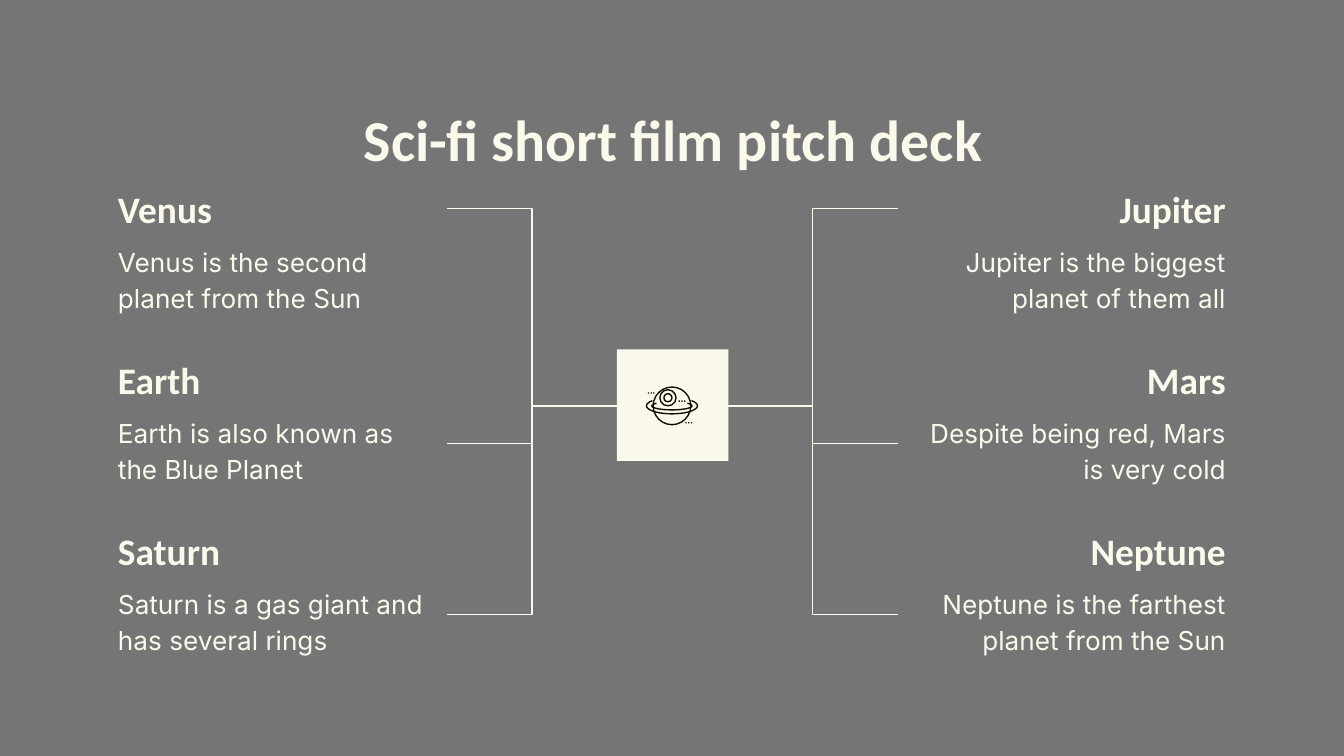
import math
import pptx
import pptx.util
import pptx.dml.color
import pptx.enum.shapes
import pptx.enum.text
import pptx.oxml.ns
from lxml import etree
from pptx.util import Inches, Pt

GREY = pptx.dml.color.RGBColor(0x75, 0x75, 0x75)
CREAM = pptx.dml.color.RGBColor(0xFA, 0xF9, 0xEC)
INK = pptx.dml.color.RGBColor(0x16, 0x0D, 0x00)
ALIGN = pptx.enum.text.PP_ALIGN
ANCHOR = pptx.enum.text.MSO_ANCHOR
SHAPE = pptx.enum.shapes.MSO_SHAPE


def write_text(box, text, font, size, bold, align, anchor):
    frame = box.text_frame
    frame.word_wrap = True
    frame.auto_size = pptx.enum.text.MSO_AUTO_SIZE.NONE
    frame.vertical_anchor = anchor
    frame.margin_left = frame.margin_right = Inches(0.1)
    frame.margin_top = frame.margin_bottom = Inches(0.1)
    para = frame.paragraphs[0]
    para.text = text
    para.alignment = align
    para.line_spacing = 1.15
    para.font.name = font
    para.font.size = Pt(size)
    para.font.bold = bold
    para.font.color.rgb = CREAM


def add_filled(kind, left, top, width, height, color):
    shape = slide.shapes.add_shape(
        kind, Inches(left), Inches(top), Inches(width), Inches(height))
    shape.shadow.inherit = False
    shape.fill.solid()
    shape.fill.fore_color.rgb = color
    shape.line.fill.background()
    return shape


deck = pptx.Presentation()
deck.slide_width = Inches(10)
deck.slide_height = Inches(10 * 9 / 16)
slide = deck.slides.add_slide(deck.slide_layouts[5])
slide.background.fill.solid()
slide.background.fill.fore_color.rgb = GREY

title = slide.shapes.title
title.left, title.top = Inches(0.79), Inches(0.59)
title.width, title.height = Inches(8.43), Inches(0.69)
write_text(title, "Sci-fi short film pitch deck", "Calibri", 31, True,
           ALIGN.CENTER, ANCHOR.TOP)

columns = [
    (0.78, ALIGN.LEFT, 4.59, 3.33, [
        ("Venus", "Venus is the second planet from the Sun"),
        ("Earth", "Earth is also known as the Blue Planet"),
        ("Saturn", "Saturn is a gas giant and has several rings")]),
    (6.68, ALIGN.RIGHT, 5.41, 6.68, [
        ("Jupiter", "Jupiter is the biggest planet of them all"),
        ("Mars", "Despite being red, Mars is very cold"),
        ("Neptune", "Neptune is the farthest planet from the Sun")]),
]
branch_ends = [1.55, 3.3, 4.57]
for left, align, hub_x, branch_x, planets in columns:
    for row, (name, fact) in enumerate(planets):
        top = 1.28 + 1.27 * row
        heading = slide.shapes.add_textbox(
            Inches(left), Inches(top), Inches(2.54), Inches(0.54))
        write_text(heading, name, "Calibri", 20, True, align, ANCHOR.BOTTOM)
        body = slide.shapes.add_textbox(
            Inches(left), Inches(top + 0.42), Inches(2.54), Inches(0.66))
        write_text(body, fact, "Inter", 14, False, align, ANCHOR.TOP)
        branch = slide.shapes.add_connector(
            pptx.enum.shapes.MSO_CONNECTOR.ELBOW, Inches(hub_x), Inches(3.02),
            Inches(branch_x), Inches(branch_ends[row]))
        branch.line.color.rgb = CREAM
        branch.line.width = Pt(0.75)
        etree.SubElement(branch._element.spPr, pptx.oxml.ns.qn("a:effectLst"))

add_filled(SHAPE.RECTANGLE, 4.59, 2.6, 0.83, 0.83, CREAM)

for center_x, center_y, radius in [(5, 3.02, 0.14), (4.97, 2.96, 0.06), (4.97, 2.96, 0.03)]:
    circle = add_filled(SHAPE.OVAL, center_x - radius, center_y - radius,
                        2 * radius, 2 * radius, CREAM)
    circle.line.color.rgb = INK
    circle.line.width = Pt(0.75)

for radius_x, radius_y in [(0.19, 0.06), (0.15, 0.03)]:
    points = [(Inches(5 + radius_x * math.cos(math.radians(angle))),
               Inches(3.02 + radius_y * math.sin(math.radians(angle))))
              for angle in range(-40, 221, 10)]
    builder = slide.shapes.build_freeform(*points[0])
    builder.add_line_segments(points[1:], close=False)
    ring = builder.convert_to_shape()
    ring.shadow.inherit = False
    ring.fill.background()
    ring.line.color.rgb = INK
    ring.line.width = Pt(0.75)

for first_x, dot_y in [(4.82, 2.92), (5.1, 3.14), (5.05, 2.98)]:
    for step in range(3):
        add_filled(SHAPE.RECTANGLE, first_x + 0.02 * step, dot_y, 0.01, 0.01, INK)

deck.save("out.pptx")
